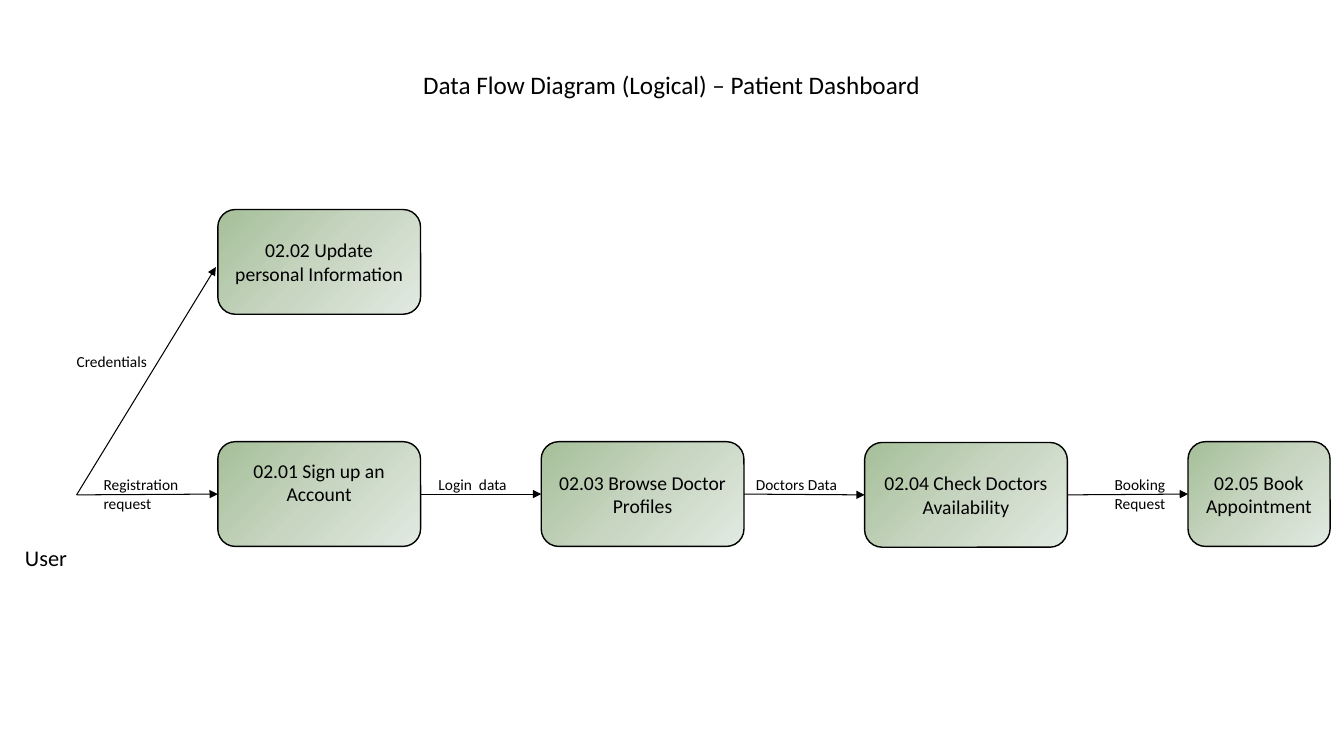
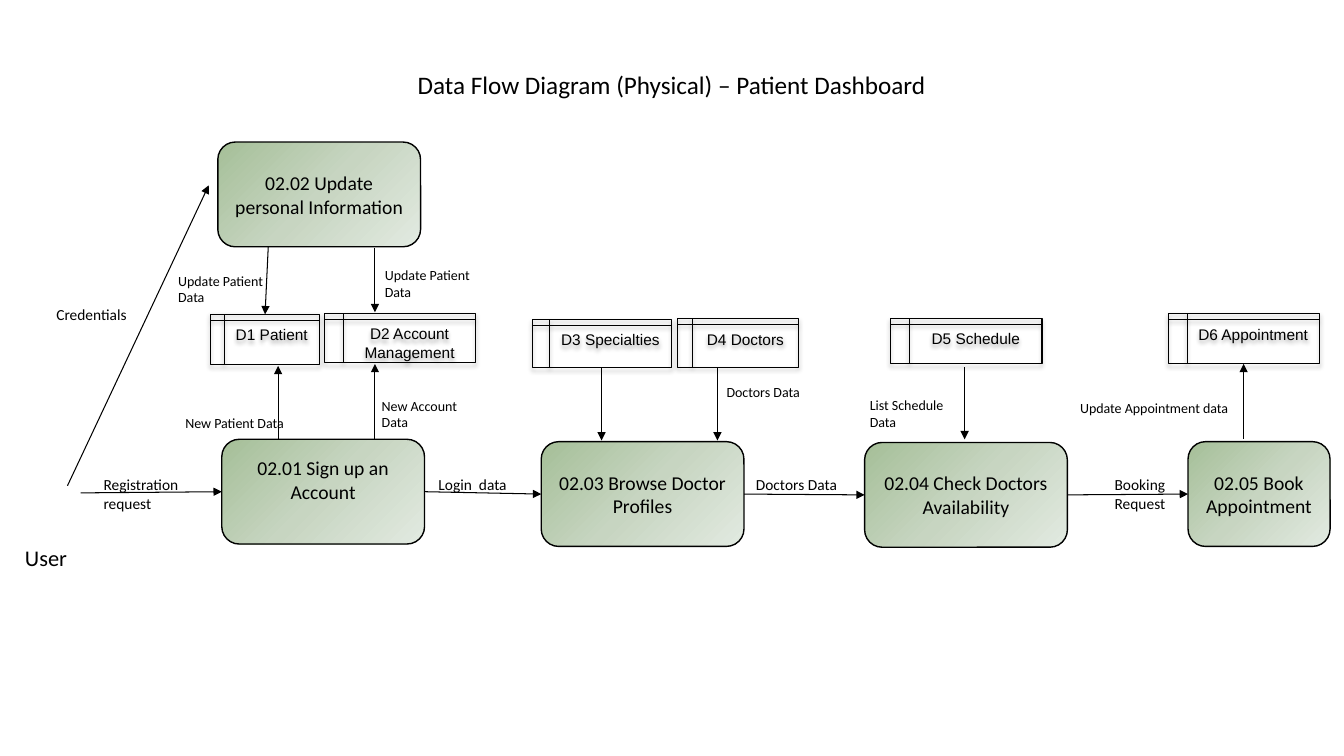
"""Build the logical and physical data flow diagrams of a patient dashboard."""
from copy import deepcopy

from lxml import etree
from pptx import Presentation
from pptx.dml.color import RGBColor
from pptx.enum.shapes import MSO_CONNECTOR, MSO_SHAPE
from pptx.enum.text import MSO_ANCHOR, PP_ALIGN
from pptx.oxml.ns import qn
from pptx.util import Cm, Pt

STRAIGHT = MSO_CONNECTOR.STRAIGHT
ROUNDED = MSO_SHAPE.ROUNDED_RECTANGLE
STORAGE = MSO_SHAPE.FLOWCHART_INTERNAL_STORAGE
TOP, MIDDLE = MSO_ANCHOR.TOP, MSO_ANCHOR.MIDDLE
LEFT, CENTER = PP_ALIGN.LEFT, PP_ALIGN.CENTER
LEFT_SITE, RIGHT_SITE = 1, 3

COLORS = {"ink": "000000", "dark": "A5BF98", "mid": "C7D5C1", "light": "E2EAE1"}
PROCESS_STOPS = [(0, "dark"), (0.5, "mid"), (1, "light")]
BODY_FONT, STORE_FONT = "Calibri", "Arial"

FIRST_COLUMN, COLUMN_STEP = 5.49, 8.15
PROCESS_ROW, PROCESS_WIDTH, PROCESS_HEIGHT = 11.13, 5.11, 2.64
BOOKING_WIDTH = 3.58
LABEL_ROW = 11.86

FLOW_LABELS = [
    ("Registration request", 2.36, 2.84, 1.19),
    ("Login  data", 10.8, 2.29, 0.76),
    ("Doctors Data", 18.8, 2.84, 0.74),
    ("Booking Request", 27.84, 2.16, 1.19),
]
STORES = [
    ("D1 Patient", 5.31, 7.92, 2.74, 1.27),
    ("D2 Account Management", 8.18, 7.9, 3.81, 1.24),
    ("D3 Specialties", 13.41, 8.05, 3.51, 1.22),
    ("D4 Doctors", 17.07, 8.03, 3.05, 1.22),
    ("D5 Schedule", 22.45, 8.03, 3.81, 1.14),
    ("D6 Appointment", 29.44, 7.9, 3.81, 1.27),
]
STORE_FLOWS = [
    ((6.76, 6.22), (6.68, 7.92)),
    ((9.45, 6.25), (9.45, 7.87)),
    ((7.01, 11.05), (7.01, 9.22)),
    ((9.45, 11.07), (9.45, 9.17)),
    ((15.16, 9.27), (15.16, 11.1)),
    ((18.08, 9.27), (18.08, 11.1)),
    ((24.31, 9.25), (24.31, 11.07)),
    ((31.34, 11.05), (31.34, 9.17)),
]
STORE_LABELS = [
    ("Update Patient Data", 4.24, 6.73, 3.12, 1.12),
    ("Update Patient Data", 9.45, 6.6, 3.12, 1.12),
    ("New Patient Data", 4.42, 10.31, 3.12, 0.69),
    ("New Account Data", 9.37, 9.88, 2.57, 1.12),
    ("Doctors Data", 18.06, 9.55, 2.72, 0.69),
    ("List Schedule Data", 21.67, 9.86, 2.39, 1.12),
    ("Update Appointment data", 26.97, 9.93, 4.72, 0.69),
]


def color(name):
    """Return the named colour."""
    return RGBColor.from_string(COLORS[name])


def write(shape, text, size, align, anchor, font=BODY_FONT):
    """Put formatted, wrapping text into a shape."""
    frame = shape.text_frame
    frame.text = text
    frame.word_wrap = True
    frame.vertical_anchor = anchor
    paragraph = frame.paragraphs[0]
    paragraph.alignment = align
    for run in paragraph.runs:
        run.font.size = Pt(size)
        run.font.name = font
        run.font.color.rgb = color("ink")


def add_label(slide, text, left, top, width, height, size=11, align=LEFT):
    """Add plain text at a place given in centimetres."""
    label = slide.shapes.add_textbox(Cm(left), Cm(top), Cm(width), Cm(height))
    write(label, text, size, align, TOP)


def outline(item, width):
    """Give a shape or connector a solid dark line."""
    item.line.color.rgb = color("ink")
    item.line.width = Pt(width)


def add_process(slide, text, left, top, width=PROCESS_WIDTH):
    """Add a rounded process box with the shared green gradient."""
    process = slide.shapes.add_shape(
        ROUNDED, Cm(left), Cm(top), Cm(width), Cm(PROCESS_HEIGHT))
    process.shadow.inherit = False
    fill = process.fill
    fill.gradient()
    fill.gradient_angle = 315
    stop_list = next(process._element.spPr.iter(qn("a:gsLst")))
    stop_list.append(deepcopy(stop_list[-1]))
    for stop, (position, name) in zip(fill.gradient_stops, PROCESS_STOPS):
        stop.position = position
        stop.color.rgb = color(name)
    outline(process, 1)
    write(process, text, 14, CENTER, MIDDLE)
    return process


def add_store(slide, text, left, top, width, height):
    """Add an unfilled data store with a soft shadow below it."""
    store = slide.shapes.add_shape(
        STORAGE, Cm(left), Cm(top), Cm(width), Cm(height))
    store.fill.background()
    outline(store, 0.75)
    store.shadow.inherit = False
    effects = store._element.spPr.find(qn("a:effectLst"))
    shadow = etree.SubElement(
        effects, qn("a:outerShdw"), blurRad="40000", dist="23000",
        dir="5400000", rotWithShape="0")
    tint = etree.SubElement(shadow, qn("a:srgbClr"), val=COLORS["ink"])
    etree.SubElement(tint, qn("a:alpha"), val="35000")
    write(store, text, 11, CENTER, TOP, STORE_FONT)


def add_flow(slide, start=(0, 0), end=(0, 0), source=None, target=None):
    """Add an arrow between points, or between the sides of process boxes."""
    flow = slide.shapes.add_connector(
        STRAIGHT, *(Cm(length) for length in (*start, *end)))
    if source is not None:
        flow.begin_connect(source, RIGHT_SITE)
    if target is not None:
        flow.end_connect(target, LEFT_SITE)
    outline(flow, 0.75)
    properties = flow._element.spPr
    etree.SubElement(properties.find(qn("a:ln")), qn("a:tailEnd"), type="triangle")
    etree.SubElement(properties, qn("a:effectLst"))


def add_diagram(deck, kind, update_top, sign_up_at, request_start,
                credentials_flow, credentials_at):
    """Add a slide with the title, processes and flows of both diagrams."""
    slide = deck.slides.add_slide(deck.slide_layouts[6])
    title = f"Data Flow Diagram ({kind}) – Patient Dashboard"
    add_label(slide, title, 8.43, 1.63, 16.99, 1.02, 18, CENTER)
    add_process(slide, "02.02 Update personal Information",
                FIRST_COLUMN, update_top)

    browse_left, check_left, book_left = (
        FIRST_COLUMN + COLUMN_STEP * column for column in (1, 2, 3))
    sign_up = add_process(slide, "02.01 Sign up an Account", *sign_up_at)
    sign_up.text_frame.margin_bottom = Cm(0.73)
    chain = [
        sign_up,
        add_process(slide, "02.03 Browse Doctor Profiles",
                    browse_left, PROCESS_ROW),
        add_process(slide, "02.04 Check Doctors Availability",
                    check_left, PROCESS_ROW + 0.02),
        add_process(slide, "02.05 Book Appointment",
                    book_left, PROCESS_ROW, BOOKING_WIDTH),
    ]
    add_flow(slide, request_start, target=sign_up)
    for source, target in zip(chain, chain[1:]):
        add_flow(slide, source=source, target=target)
    add_flow(slide, *credentials_flow)

    add_label(slide, "User", 0.38, 13.59, 1.63, 1.5, 16)
    add_label(slide, "Credentials", *credentials_at, 3.05, 0.74)
    for text, left, width, height in FLOW_LABELS:
        add_label(slide, text, left, LABEL_ROW, width, height)
    return slide


def add_stores(slide):
    """Add the data stores with their flows and labels."""
    for store in STORES:
        add_store(slide, *store)
    for start, end in STORE_FLOWS:
        add_flow(slide, start, end)
    for label in STORE_LABELS:
        add_label(slide, *label, size=10)


def main():
    """Build both diagrams and save the deck."""
    deck = Presentation()
    deck.slide_width, deck.slide_height = Cm(33.87), Cm(19.05)
    add_diagram(
        deck, "Logical", update_top=5.28,
        sign_up_at=(FIRST_COLUMN, PROCESS_ROW), request_start=(1.93, 12.47),
        credentials_flow=((1.93, 12.47), (5.44, 6.73)),
        credentials_at=(1.68, 8.74))
    physical = add_diagram(
        deck, "Physical", update_top=3.58,
        sign_up_at=(5.59, 11.07), request_start=(2.03, 12.42),
        credentials_flow=((1.7, 12.24), (5.26, 4.67)),
        credentials_at=(1.17, 7.57))
    add_stores(physical)
    deck.save("out.pptx")


if __name__ == "__main__":
    main()
